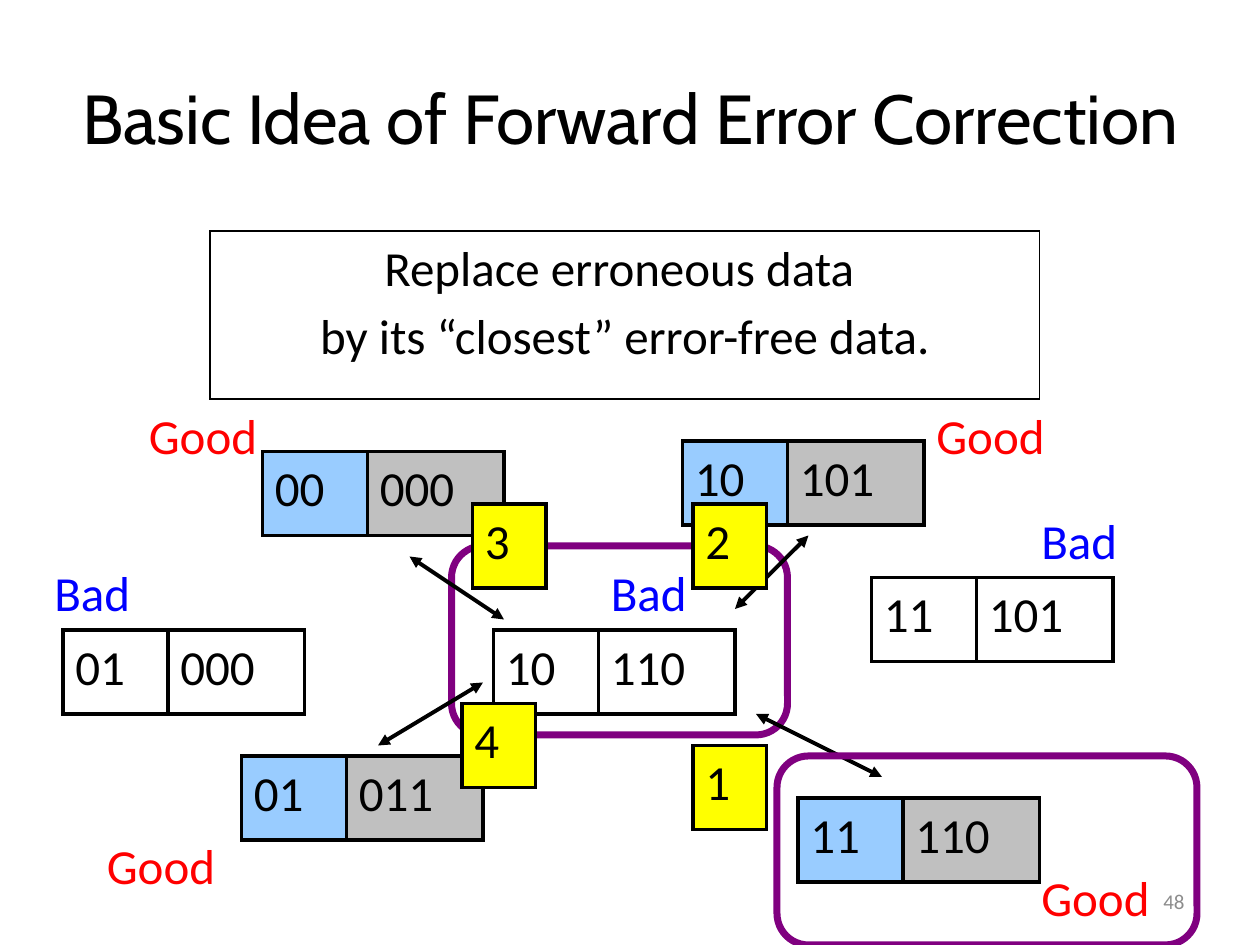
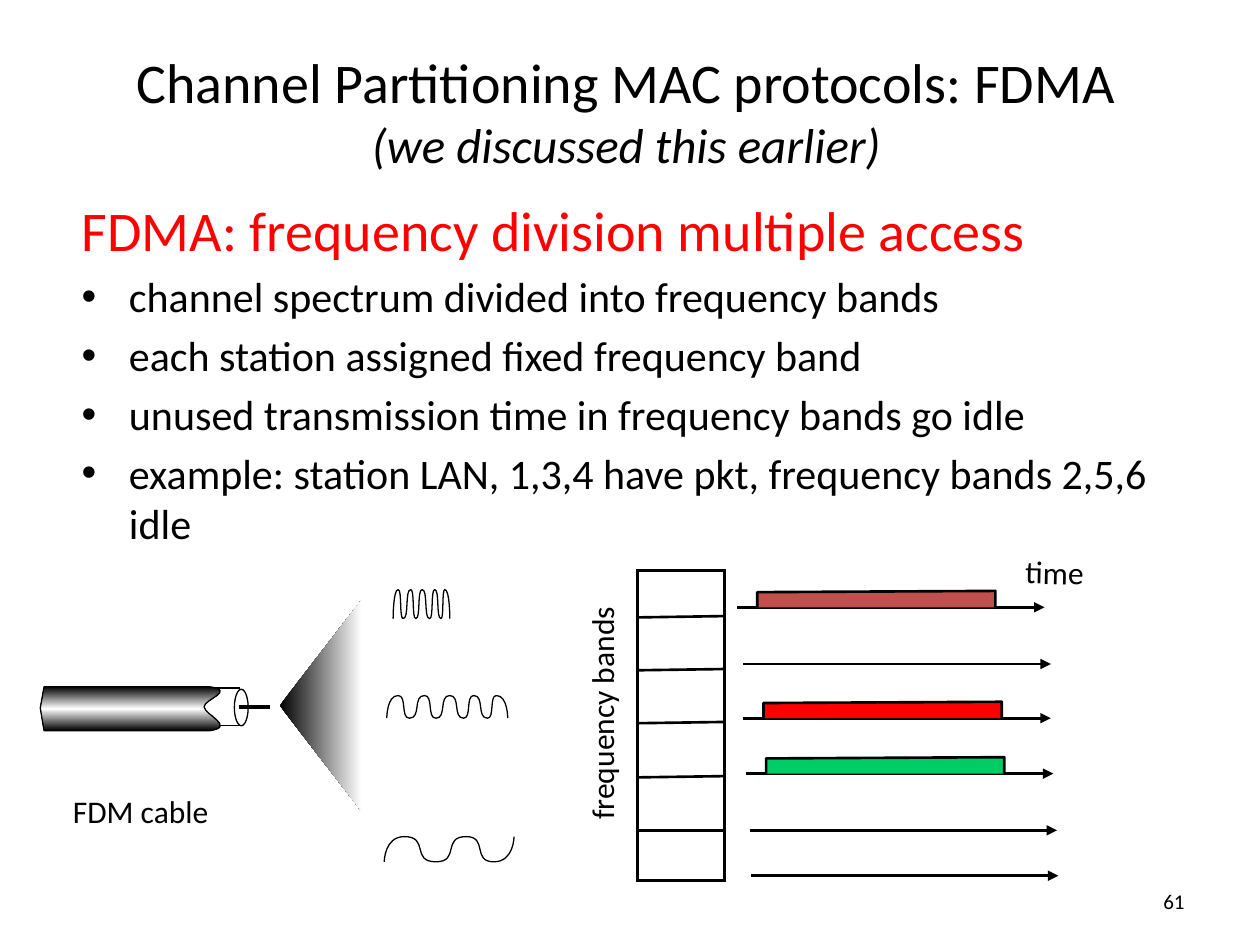
from lxml.etree import SubElement
from pptx import Presentation
from pptx.dml.color import RGBColor
from pptx.enum.shapes import MSO_CONNECTOR, MSO_SHAPE
from pptx.enum.text import MSO_ANCHOR, MSO_AUTO_SIZE, PP_ALIGN
from pptx.oxml import parse_xml
from pptx.oxml.ns import nsdecls, qn
from pptx.util import Inches, Pt

COLORS = {
    "black": "000000", "white": "FFFFFF", "gray": "8C8C8C",
    "data": "99CCFF", "check": "C0C0C0", "distance": "FFFF00",
    "good": "FF0000", "bad": "0000FF", "frame": "800080",
    "brick": "C0504D", "red": "FF0000", "green": "00CC66",
}
RGB = {name: RGBColor.from_string(value) for name, value in COLORS.items()}
BODY_FONT = "Calibri"
GRID = 1 / 12  # the error correction diagram lies on a grid of twelfths of an inch


def add_box(slide, kind, place, fill=None, line="black", width=2, text="", size=28,
            color="black", align=PP_ALIGN.LEFT, anchor=MSO_ANCHOR.TOP, wrap=True, unit=1):
    """Add a shape, or a text box when kind is None; each text line is a paragraph."""
    place = [Inches(value * unit) for value in place]
    if kind is None:
        shape = slide.shapes.add_textbox(*place)
    else:
        shape = slide.shapes.add_shape(kind, *place)
        shape.shadow.inherit = False
        if fill:
            shape.fill.solid()
            shape.fill.fore_color.rgb = RGB[fill]
        else:
            shape.fill.background()
        shape.line.color.rgb = RGB[line]
        shape.line.width = Pt(width)
        SubElement(shape._element.spPr.find(qn("a:ln")), qn("a:miter"), lim="800000")
    if text:
        frame = shape.text_frame
        frame.word_wrap = wrap
        frame.vertical_anchor = anchor
        for index, words in enumerate(text.split("\n")):
            paragraph = frame.add_paragraph() if index else frame.paragraphs[0]
            paragraph.alignment = align
            if index:
                paragraph.space_before = Pt(size * 0.2)
            run = paragraph.add_run()
            run.text = words
            run.font.name = BODY_FONT
            run.font.size = Pt(size)
            run.font.color.rgb = RGB[color]
    return shape


def add_line(slide, start, end, width=1.5, arrows=(), unit=1):
    """Add a black line; arrows names the ends that carry a triangle."""
    ends = [Inches(value * unit) for value in (*start, *end)]
    connector = slide.shapes.add_connector(MSO_CONNECTOR.STRAIGHT, *ends)
    connector.line.color.rgb = RGB["black"]
    connector.line.width = Pt(width)
    properties = connector._element.spPr
    for arrow in arrows:
        SubElement(properties.find(qn("a:ln")), qn(f"a:{arrow}"), type="triangle")
    SubElement(properties, qn("a:effectLst"))


presentation = Presentation()
presentation.slide_width = Inches(10)
presentation.slide_height = Inches(7.5)

# Slides with their titles: place, then runs of (text, font, size, italic)
title_specs = [
    ((0.5, 0.3, 9, 1.25),
     [("Basic Idea of Forward Error Correction", "Cabin", 39.6, False)]),
    ((0.25, 0.25, 9.44, 1.25),
     [("Channel Partitioning MAC protocols: FDMA", BODY_FONT, 32, False),
      ("(we discussed this earlier)", BODY_FONT, 28, True)]),
]
slides = []
for place, title_runs in title_specs:
    slide = presentation.slides.add_slide(presentation.slide_layouts[5])
    slides.append(slide)
    title = slide.shapes.title
    title.left, title.top, title.width, title.height = [Inches(value) for value in place]
    frame = title.text_frame
    frame.auto_size = MSO_AUTO_SIZE.NONE
    frame.word_wrap = True
    frame.vertical_anchor = MSO_ANCHOR.MIDDLE
    paragraph = frame.paragraphs[0]
    paragraph.alignment = PP_ALIGN.CENTER
    for index, (text, font, size, italic) in enumerate(title_runs):
        if index:
            paragraph.add_line_break()
        run = paragraph.add_run()
        run.text = text
        run.font.name = font
        run.font.size = Pt(size)
        run.font.italic = italic
        run.font.color.rgb = RGB["black"]
correction_slide, fdma_slide = slides

# Slide 1: statement
add_box(correction_slide, MSO_SHAPE.RECTANGLE, (20, 22, 79, 16), width=0.75,
        text="Replace erroneous data \nby its “closest” error-free data.",
        align=PP_ALIGN.CENTER, unit=GRID)

# Code words: data bits, check bits, left, top, error-free or not
code_words = [
    ("00", "000", 25, 43, True), ("01", "011", 23, 72, True),
    ("10", "101", 65, 42, True), ("11", "110", 76, 76, True),
    ("01", "000", 6, 60, False), ("11", "101", 83, 55, False),
    ("10", "110", 47, 60, False),
]
for data, check, left, top, valid in code_words:
    add_box(correction_slide, MSO_SHAPE.RECTANGLE, (left, top, 10, 8),
            "data" if valid else None, text=data, unit=GRID)
    add_box(correction_slide, MSO_SHAPE.RECTANGLE, (left + 10, top, 13, 8),
            "check" if valid else None, text=check, unit=GRID)

# Verdicts
verdicts = {
    "Good": [(88, 38), (9, 79), (98, 82), (13, 38)],
    "Bad": [(98, 48), (4, 53), (57, 53)],
}
for verdict, corners in verdicts.items():
    for left, top in corners:
        add_box(correction_slide, None, (left, top, 17, 8),
                text=verdict, color=verdict.lower(), unit=GRID)

# Received word, its distances, and the closest word
add_box(correction_slide, MSO_SHAPE.ROUNDED_RECTANGLE, (43, 52, 32, 18),
        line="frame", width=4, unit=GRID)
for start, end in [((70, 58), (77, 51)), ((39, 53), (48, 59)),
                   ((72, 68), (84, 74)), ((36, 71), (46, 65))]:
    add_line(correction_slide, start, end, 2.25, ("headEnd", "tailEnd"), GRID)
for distance, left, top in [("3", 45, 48), ("4", 44, 67), ("2", 66, 48), ("1", 66, 71)]:
    add_box(correction_slide, MSO_SHAPE.RECTANGLE, (left, top, 7, 8),
            "distance", text=distance, unit=GRID)
add_box(correction_slide, MSO_SHAPE.ROUNDED_RECTANGLE, (74, 72, 40, 18),
        line="frame", width=4, unit=GRID)

# Slide numbers
for slide, number, color in [(correction_slide, "48", "gray"), (fdma_slide, "61", "black")]:
    add_box(slide, None, (7.17, 6.95, 2.33, 0.4), text=number, size=12, color=color,
            align=PP_ALIGN.RIGHT, anchor=MSO_ANCHOR.MIDDLE)

# Slide 2: heading and bullets
body_lines = [
    "FDMA: frequency division multiple access",
    "channel spectrum divided into frequency bands",
    "each station assigned fixed frequency band",
    "unused transmission time in frequency bands go idle",
    "example: station LAN, 1,3,4 have pkt, frequency bands 2,5,6 idle",
]
body = fdma_slide.shapes.add_textbox(Inches(0.55), Inches(1.5), Inches(8.99), Inches(5.08))
body.text_frame.word_wrap = True
for index, text in enumerate(body_lines):
    paragraph = body.text_frame.add_paragraph() if index else body.text_frame.paragraphs[0]
    properties = paragraph._p.get_or_add_pPr()
    properties.set("marL", str(Pt(27)))
    properties.set("indent", str(-Pt(27)))
    if index:
        paragraph.space_before = Pt(4.8)
        SubElement(properties, qn("a:buFont"), typeface="Arial")
        SubElement(properties, qn("a:buChar"), char="•")
    run = paragraph.add_run()
    run.text = text
    run.font.name = BODY_FONT
    run.font.size = Pt(24 if index else 32)
    run.font.color.rgb = RGB["black" if index else "red"]

# Frequency bands
add_box(fdma_slide, MSO_SHAPE.RECTANGLE, (5.06, 4.53, 0.69, 2.46), "white", width=1.5)
for start, end in [(4.9, 4.89), (5.32, 5.31), (5.74, 5.73), (6.17, 6.16), (6.59, 6.59)]:
    add_line(fdma_slide, (5.06, start), (5.74, end))

# Outlines: steps (a point, or two controls and a point), closed, fill, line width
outlines = []

# Time axes with the packets sent in each band
for left, top, packet in [(5.85, 4.82, "brick"), (5.9, 5.27, None), (5.9, 5.7, "red"),
                          (5.92, 6.14, "green"), (5.95, 6.59, None), (5.96, 6.95, None)]:
    add_line(fdma_slide, (left, top), (left + 2.44, top), arrows=("tailEnd",))
    if packet:
        start, end = left + 0.16, left + 2.05
        corners = [(start, top), (start, top - 0.12), (end, top - 0.13), (end, top)]
        outlines.append(([[corner] for corner in corners], False, packet, 1.5))

# Spreading beam and cable, with gradients as (angle, colours)
beam = [[(2.87, 4.76)], [(2.22, 5.6)], [(2.87, 6.44)]]
outlines.append((beam, True, (0, ("black", "white")), 0))
cable = [[(0.35, 5.45)], [(0.32, 5.62)], [(0.35, 5.8)], [(1.66, 5.8)],
         [(1.88, 5.77), (1.62, 5.67), (1.62, 5.61)],
         [(1.62, 5.55), (1.88, 5.48), (1.66, 5.45)]]
outlines.append((cable, True, (90, ("black", "white", "black")), 0.75))

# Waves swing between bottom and top at the listed places
waves = [
    (5.7, 5.52, [3.07, 3.16, 3.25, 3.37, 3.46, 3.57, 3.68, 3.76, 3.87, 3.94, 4.03]),
    (4.91, 4.68, [3.12, 3.16, 3.2, 3.26, 3.3, 3.35, 3.41, 3.45, 3.5, 3.53, 3.57]),
    (6.84, 6.64, [3.05, 3.21, 3.46, 3.7, 3.92, 4.08]),
]
for bottom, top, turns in waves:
    levels = [top if index % 2 else bottom for index in range(len(turns))]
    knots = list(zip(turns, levels))
    steps = [[knots[0]]]
    for index, ((x1, y1), (x2, y2)) in enumerate(zip(knots, knots[1:])):
        if index == 0:
            controls = [(x1, y1), (x1, y2)]
        elif index == len(knots) - 2:
            controls = [(x2, y1), (x2, y2)]
        else:
            controls = [(x1 + 0.8 * (x2 - x1), y1), (x1 + 0.2 * (x2 - x1), y2)]
        steps.append([*controls, (x2, y2)])
    outlines.append((steps, False, None, 0.75))

# Open end of the cable lies behind its jacket
add_box(fdma_slide, MSO_SHAPE.RECTANGLE, (1.61, 5.46, 0.29, 0.3), "white", width=0.75)

for steps, closed, fill, width in outlines:
    points = [(Inches(x), Inches(y)) for x, y in (step[-1] for step in steps)]
    builder = fdma_slide.shapes.build_freeform(*points[0])
    builder.add_line_segments(points[1:], close=closed)
    shape = builder.convert_to_shape()
    shape.shadow.inherit = False

    # Bend the segments that have control points
    segments = list(shape._element.iter(qn("a:lnTo")))
    for segment, step in zip(segments, steps[1:]):
        if len(step) == 3:
            segment.tag = qn("a:cubicBezTo")
            for index, (x, y) in enumerate(step[:2]):
                control = SubElement(segment, qn("a:pt"), x=str(Inches(x) - shape.left),
                                     y=str(Inches(y) - shape.top))
                segment.insert(index, control)

    if fill is None:
        shape.fill.background()
    elif isinstance(fill, str):
        shape.fill.solid()
        shape.fill.fore_color.rgb = RGB[fill]
    else:
        angle, names = fill
        stops = "".join(
            f'<a:gs pos="{100000 * index // (len(names) - 1)}">'
            f'<a:srgbClr val="{COLORS[name]}"/></a:gs>'
            for index, name in enumerate(names))
        shape._element.spPr.insert(2, parse_xml(
            f'<a:gradFill {nsdecls("a")} rotWithShape="1"><a:gsLst>{stops}</a:gsLst>'
            f'<a:lin ang="{angle * 60000}" scaled="0"/></a:gradFill>'))
    if width:
        shape.line.color.rgb = RGB["black"]
        shape.line.width = Pt(width)
    else:
        shape.line.fill.background()

# Cable core
add_box(fdma_slide, MSO_SHAPE.OVAL, (1.86, 5.47, 0.11, 0.29), "white", width=0.75)
add_line(fdma_slide, (1.9, 5.61), (2.14, 5.61), 2.25)

# Labels
for text, place, rotation in [("frequency bands", (3.82, 5.45, 1.91, 0.4), 270),
                              ("time", (8.04, 4.34, 0.68, 0.4), 1.1),
                              ("FDM cable", (0.48, 6.24, 1.29, 0.4), 0)]:
    label = add_box(fdma_slide, None, place, text=text, size=18, wrap=False)
    label.rotation = rotation

presentation.save("out.pptx")
